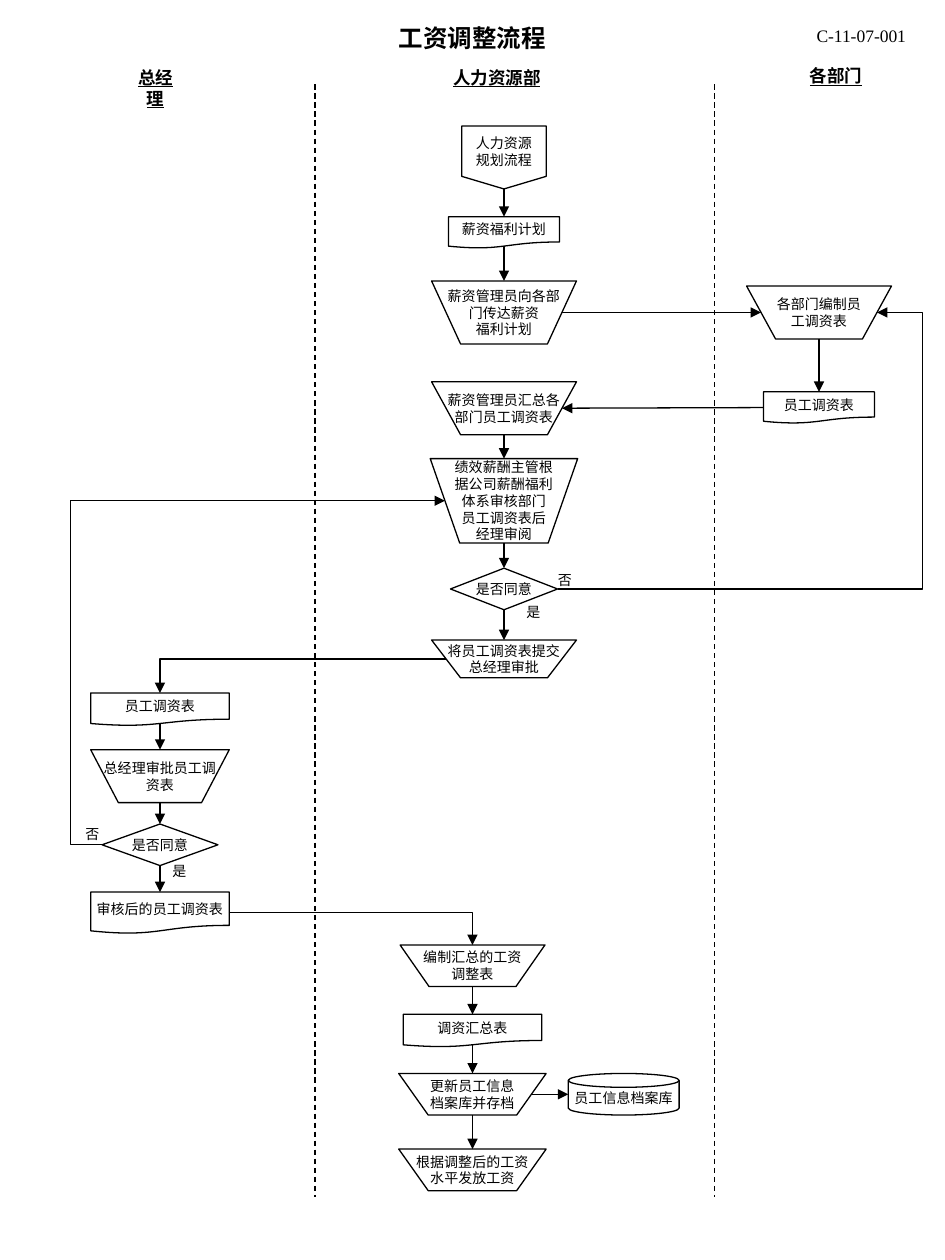
from lxml import etree
from pptx import Presentation
from pptx.dml.color import RGBColor
from pptx.enum import dml, shapes, text
from pptx.oxml.ns import qn
from pptx.util import Inches, Pt

FONT = "Times New Roman"
BLACK, WHITE = RGBColor.from_string("000000"), RGBColor.from_string("FFFFFF")


def write(frame, lines, size, bold=False, underline=None, align=text.PP_ALIGN.CENTER):
    for i, line in enumerate(lines.split("\n")):
        paragraph = frame.paragraphs[0] if i == 0 else frame.add_paragraph()
        paragraph.alignment = align
        run = paragraph.add_run()
        run.text = line
        run.font.name, run.font.size = FONT, Pt(size)
        run.font.bold, run.font.underline = bold, underline
        run.font.color.rgb = BLACK


def connect(kind, x1, y1, x2, y2, arrow=True):
    line = slide.shapes.add_connector(kind, *[Inches(v) for v in (x1, y1, x2, y2)])
    line.line.color.rgb, line.line.width = BLACK, Pt(0.75)
    properties = line._element.spPr
    if arrow:
        etree.SubElement(line.line._get_or_add_ln(), qn("a:tailEnd"), type="triangle")
    etree.SubElement(properties, qn("a:effectLst"))
    return line


prs = Presentation()
prs.slide_width, prs.slide_height = Inches(7.5), Inches(10)
slide = prs.slides.add_slide(prs.slide_layouts[5])

# Title
title = slide.shapes.title
title.left, title.top, title.width, title.height = 0, Inches(0.13), Inches(7.5), Inches(0.34)
title.text_frame.vertical_anchor = text.MSO_ANCHOR.TOP
title.text_frame.auto_size = text.MSO_AUTO_SIZE.SHAPE_TO_FIT_TEXT
write(title.text_frame, "工资调整流程", 14, bold=True)

# Document number, lane headings and yes/no labels
CENTER, LEFT = text.PP_ALIGN.CENTER, text.PP_ALIGN.LEFT
captions = [
    ("C-11-07-001", 6.38, 0.15, 0.91, 0.27, 10, False, CENTER),
    ("总经理", 0.93, 0.48, 0.61, 0.27, 10, True, CENTER),
    ("人力资源部", 3.5, 0.48, 0.89, 0.27, 10, True, LEFT),
    ("各部门", 6.33, 0.47, 0.75, 0.27, 10, True, LEFT),
    ("是", 1.27, 6.8, 0.31, 0.24, 8, False, LEFT),
    ("否", 0.58, 6.5, 0.31, 0.24, 8, False, LEFT),
    ("是", 4.08, 4.74, 0.31, 0.24, 8, False, LEFT),
    ("否", 4.33, 4.49, 0.31, 0.24, 8, False, LEFT),
]
for words, x, y, w, h, size, heading, align in captions:
    caption = slide.shapes.add_textbox(Inches(x), Inches(y), Inches(w), Inches(h)).text_frame
    caption.word_wrap = words == "各部门"
    caption.auto_size = text.MSO_AUTO_SIZE.SHAPE_TO_FIT_TEXT
    write(caption, words, size, heading, heading or None, align)

# Lane dividers
for x in (2.5, 5.67):
    divider = connect(shapes.MSO_CONNECTOR.STRAIGHT, x, 0.67, x, 9.5, arrow=False)
    divider.line.dash_style = dml.MSO_LINE.DASH

# Steps: name, shape, centre of column, top, width, height, words
KIND = shapes.MSO_SHAPE
OPERATION, DOCUMENT = KIND.FLOWCHART_MANUAL_OPERATION, KIND.FLOWCHART_DOCUMENT
DECISION, DISK = KIND.FLOWCHART_DECISION, KIND.FLOWCHART_MAGNETIC_DISK
OFFPAGE = KIND.FLOWCHART_OFFPAGE_CONNECTOR
MANAGER, HR, PAYROLL, ARCHIVE, DEPARTMENT = 1.27, 4.0, 3.75, 4.95, 6.5
steps = [
    ("planning", OFFPAGE, HR, 1.0, 0.67, 0.5, "人力资源规划流程"),
    ("plan", DOCUMENT, HR, 1.72, 0.88, 0.25, "薪资福利计划"),
    ("announce", OPERATION, HR, 2.23, 1.15, 0.5, "薪资管理员向各部\n门传达薪资\n福利计划"),
    ("draft", OPERATION, DEPARTMENT, 2.27, 1.15, 0.42, "各部门编制员\n工调资表"),
    ("form", DOCUMENT, DEPARTMENT, 3.11, 0.88, 0.25, "员工调资表"),
    ("collect", OPERATION, HR, 3.03, 1.15, 0.42, "薪资管理员汇总各\n部门员工调资表"),
    ("review", OPERATION, HR, 3.64, 1.17, 0.67,
     "绩效薪酬主管根\n据公司薪酬福利\n体系审核部门\n员工调资表后\n经理审阅"),
    ("hr_agrees", DECISION, HR, 4.51, 0.85, 0.33, "是否同意"),
    ("submit", OPERATION, HR, 5.08, 1.15, 0.3, "将员工调资表提交\n总经理审批"),
    ("submitted", DOCUMENT, MANAGER, 5.5, 1.1, 0.26, "员工调资表"),
    ("approve", OPERATION, MANAGER, 5.95, 1.1, 0.42, "总经理审批员工调\n资表"),
    ("manager_agrees", DECISION, MANAGER, 6.54, 0.92, 0.33, "是否同意"),
    ("approved", DOCUMENT, MANAGER, 7.08, 1.1, 0.33, "审核后的员工调资表"),
    ("summarise", OPERATION, PAYROLL, 7.5, 1.15, 0.33, "编制汇总的工资\n调整表"),
    ("summary", DOCUMENT, PAYROLL, 8.05, 1.1, 0.26, "调资汇总表"),
    ("update", OPERATION, PAYROLL, 8.52, 1.17, 0.33, "更新员工信息\n档案库并存档"),
    ("archive", DISK, ARCHIVE, 8.52, 0.88, 0.33, "员工信息档案库"),
    ("pay", OPERATION, PAYROLL, 9.12, 1.17, 0.33, "根据调整后的工资\n水平发放工资"),
]
placed = {}
for name, kind, center, top, w, h, words in steps:
    step = slide.shapes.add_shape(kind, Inches(center - w / 2), Inches(top), Inches(w), Inches(h))
    step.shadow.inherit = False
    if name == "review":
        step.fill.background()
    else:
        step.fill.solid()
        step.fill.fore_color.rgb = WHITE
    step.line.color.rgb, step.line.width = BLACK, Pt(0.75)
    step.text_frame.word_wrap = kind == OFFPAGE
    step.text_frame.vertical_anchor = text.MSO_ANCHOR.MIDDLE
    write(step.text_frame, words, 8)
    # Visible sides: documents end in a wave, operations have slanted sides
    bottom = top + h * (0.93 if kind == DOCUMENT else 1)
    reach = w * (0.4 if kind == OPERATION else 0.5)
    middle = top + h / 2
    sides = [(center, top), (center - reach, middle), (center, bottom), (center + reach, middle)]
    placed[name] = step, sides

# Straight arrows: from step and side, to step and side
TOP, LEFT_SIDE, BOTTOM, RIGHT_SIDE = range(4)
chains = [
    ["planning", "plan", "announce"],
    ["draft", "form"],
    ["collect", "review", "hr_agrees", "submit"],
    ["submitted", "approve", "manager_agrees", "approved"],
    ["summarise", "summary", "update", "pay"],
]
arrows = [(a, BOTTOM, b, TOP) for chain in chains for a, b in zip(chain, chain[1:])]
arrows += [
    ("announce", RIGHT_SIDE, "draft", LEFT_SIDE),
    ("form", LEFT_SIDE, "collect", RIGHT_SIDE),
    ("update", RIGHT_SIDE, "archive", LEFT_SIDE),
]
for source, leaving, target, entering in arrows:
    start, start_sides = placed[source]
    end, end_sides = placed[target]
    (x1, y1), (x2, y2) = start_sides[leaving], end_sides[entering]
    arrow = connect(shapes.MSO_CONNECTOR.STRAIGHT, x1, y1, x2, y2)
    arrow.begin_connect(start, leaving)
    # The disk counts its rim as an extra site before its left side
    arrow.end_connect(end, entering + 1 if target == "archive" else entering)
    # Keep the ends on the visible outline
    arrow.begin_x, arrow.begin_y = Inches(x1), Inches(y1)
    arrow.end_x, arrow.end_y = Inches(x2), Inches(y2)

# Bent arrows: the last value is the x of the upright part, None for one corner
bends = [
    ("submit", LEFT_SIDE, "submitted", TOP, None),
    ("approved", RIGHT_SIDE, "summarise", TOP, None),
    ("manager_agrees", LEFT_SIDE, "review", LEFT_SIDE, 0.56),
    ("hr_agrees", RIGHT_SIDE, "draft", RIGHT_SIDE, 7.32),
]
for source, leaving, target, entering, upright in bends:
    x1, y1 = placed[source][1][leaving]
    x2, y2 = placed[target][1][entering]
    bend = connect(shapes.MSO_CONNECTOR.ELBOW, x1, y1, x2, y2)
    geometry = bend._element.spPr.find(qn("a:prstGeom"))
    if upright is None:
        geometry.set("prst", "bentConnector2")
    else:
        share = round((upright - x1) / (x2 - x1) * 100000)
        etree.SubElement(geometry.find(qn("a:avLst")), qn("a:gd"), name="adj1", fmla=f"val {share}")

prs.save("out.pptx")
